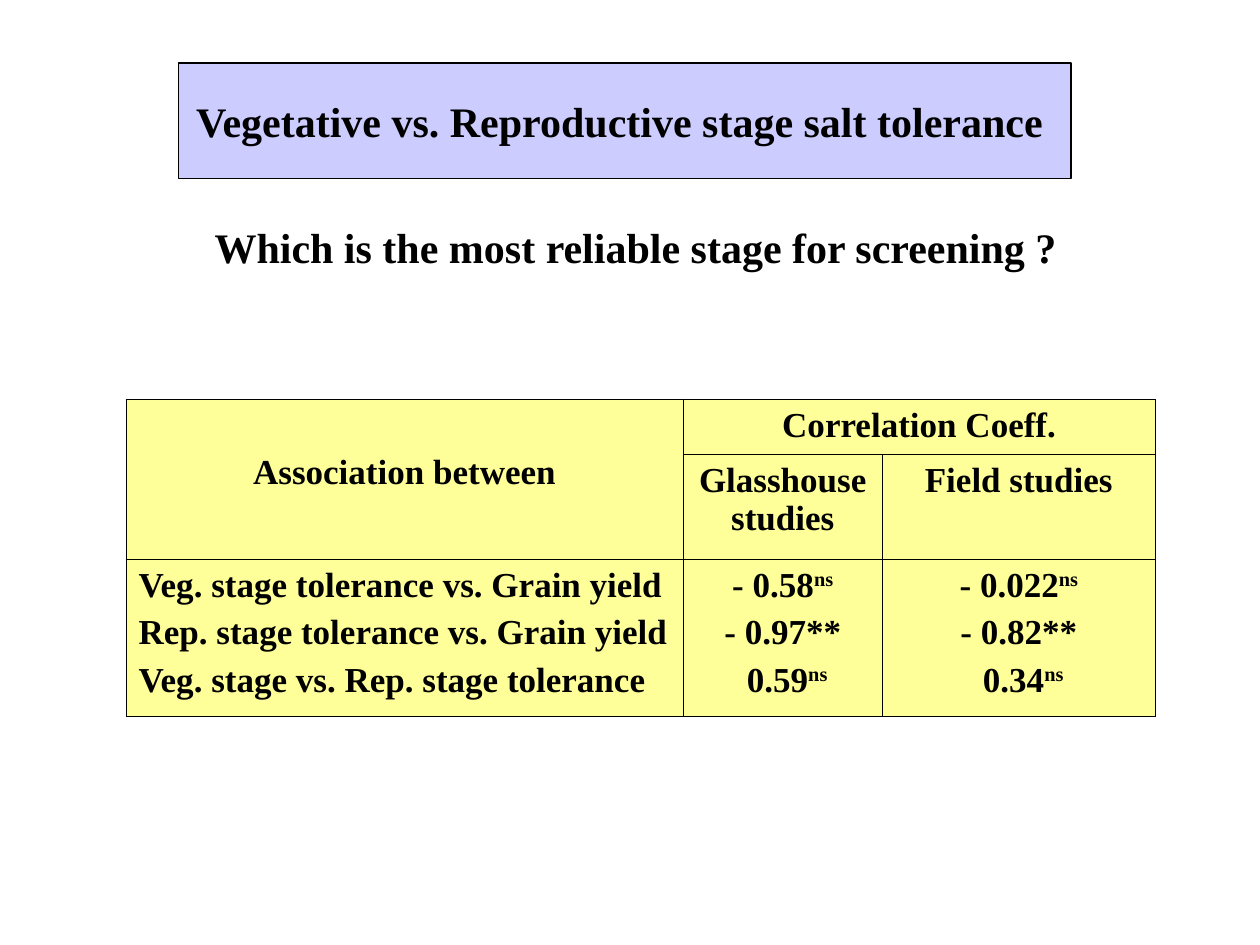
"""Build a slide comparing salt tolerance screening at two growth stages."""
from dataclasses import dataclass

from lxml import etree
from pptx import Presentation
from pptx import util as u
from pptx.dml.color import RGBColor
from pptx.enum import shapes, text
from pptx.oxml.ns import qn

COLOURS = {"ink": "000000", "banner": "CCCCFF", "table": "FFFF99"}
FONT = "Times New Roman"
CENTRE, LEFT = text.PP_ALIGN.CENTER, text.PP_ALIGN.LEFT
COLUMN_WIDTHS = (11.23, 4.02, 5.5)
ROW_HEIGHTS = (1.11, 2.12, 3.16)


@dataclass(frozen=True)
class TableCell:
    row: int
    column: int
    wording: str
    align: text.PP_ALIGN = CENTRE
    rows: int = 1
    columns: int = 1
    top_margin: float = 0.13


CELLS = (
    TableCell(0, 0, "Association between", rows=2, top_margin=1.09),
    TableCell(0, 1, "Correlation Coeff.", columns=2),
    TableCell(1, 1, "Glasshouse studies"),
    TableCell(1, 2, "Field studies"),
    TableCell(2, 0, "Veg. stage tolerance vs. Grain yield\n"
                    "Rep. stage tolerance vs. Grain yield\n"
                    "Veg. stage vs. Rep. stage tolerance", LEFT),
    TableCell(2, 1, "- 0.58^ns\n- 0.97**\n 0.59^ns"),
    TableCell(2, 2, "- 0.022^ns\n- 0.82**\n 0.34^ns"),
)


def colour(name: str) -> RGBColor:
    """Return the named colour."""
    return RGBColor.from_string(COLOURS[name])


def write(frame, wording: str, *, size: float, align=CENTRE, before: float = 0) -> None:
    """Write lines of bold text, raising whatever follows a caret."""
    for index, line in enumerate(wording.split("\n")):
        para = frame.add_paragraph() if index else frame.paragraphs[0]
        para.alignment = align
        para.space_before = u.Pt(before)
        base, _, raised = line.partition("^")
        for part, baseline in ((base, "0"), (raised, "30000")):
            if part:
                span = para.add_run()
                span.text = part
                span.font.name, span.font.size, span.font.bold = FONT, u.Pt(size), True
                span.font.color.rgb = colour("ink")
                span._r.get_or_add_rPr().set("baseline", baseline)


def style_cell(cell) -> None:
    """Fill a cell and give it a thin border on all sides."""
    cell.fill.solid()
    cell.fill.fore_color.rgb = colour("table")
    properties = cell._tc.get_or_add_tcPr()
    for index, side in enumerate(("lnL", "lnR", "lnT", "lnB")):
        border = etree.Element(qn(f"a:{side}"), w=str(u.Pt(0.45)))
        paint = etree.SubElement(border, qn("a:solidFill"))
        etree.SubElement(paint, qn("a:srgbClr"), val=COLOURS["ink"])
        properties.insert(index, border)


def add_correlations(page) -> None:
    """Add the table of correlation coefficients."""
    table = page.shapes.add_table(
        len(ROW_HEIGHTS), len(COLUMN_WIDTHS), u.Cm(2.54), u.Cm(8.05),
        u.Cm(sum(COLUMN_WIDTHS)), u.Cm(sum(ROW_HEIGHTS))).table
    table.first_row = table.horz_banding = False
    for column, width in zip(table.columns, COLUMN_WIDTHS):
        column.width = u.Cm(width)
    for row, height in zip(table.rows, ROW_HEIGHTS):
        row.height = u.Cm(height)
    for cell in table.iter_cells():
        style_cell(cell)
    for item in CELLS:
        cell = table.cell(item.row, item.column)
        if item.rows * item.columns > 1:
            cell.merge(table.cell(item.row + item.rows - 1, item.column + item.columns - 1))
        cell.margin_top = u.Cm(item.top_margin)
        write(cell.text_frame, item.wording, size=20, align=item.align, before=5)


def add_banner(page, wording: str) -> None:
    """Add the outlined title banner."""
    box = page.shapes.add_shape(
        shapes.MSO_SHAPE.RECTANGLE, u.Cm(3.6), u.Cm(1.27), u.Cm(17.99), u.Cm(2.33))
    box.shadow.inherit = False
    box.fill.solid()
    box.fill.fore_color.rgb = colour("banner")
    box.line.color.rgb = colour("ink")
    box.line.width = u.Pt(0.75)
    box.text_frame.word_wrap = False
    box.text_frame.vertical_anchor = text.MSO_ANCHOR.MIDDLE
    write(box.text_frame, wording, size=24)


def add_question(page, wording: str) -> None:
    """Add the question below the banner."""
    box = page.shapes.add_textbox(u.Cm(1.7), u.Cm(4.34), u.Cm(22.23), u.Cm(1.27))
    box.text_frame.word_wrap = True
    write(box.text_frame, wording, size=24)


def main() -> None:
    """Create and save the deck."""
    deck = Presentation()
    deck.slide_width, deck.slide_height = u.Cm(25.4), u.Cm(19.05)
    page = deck.slides.add_slide(deck.slide_layouts[6])
    add_question(page, "Which is the most reliable stage for screening ?")
    add_correlations(page)
    add_banner(page, "Vegetative vs. Reproductive stage salt tolerance ")
    deck.save("out.pptx")


if __name__ == "__main__":
    main()
